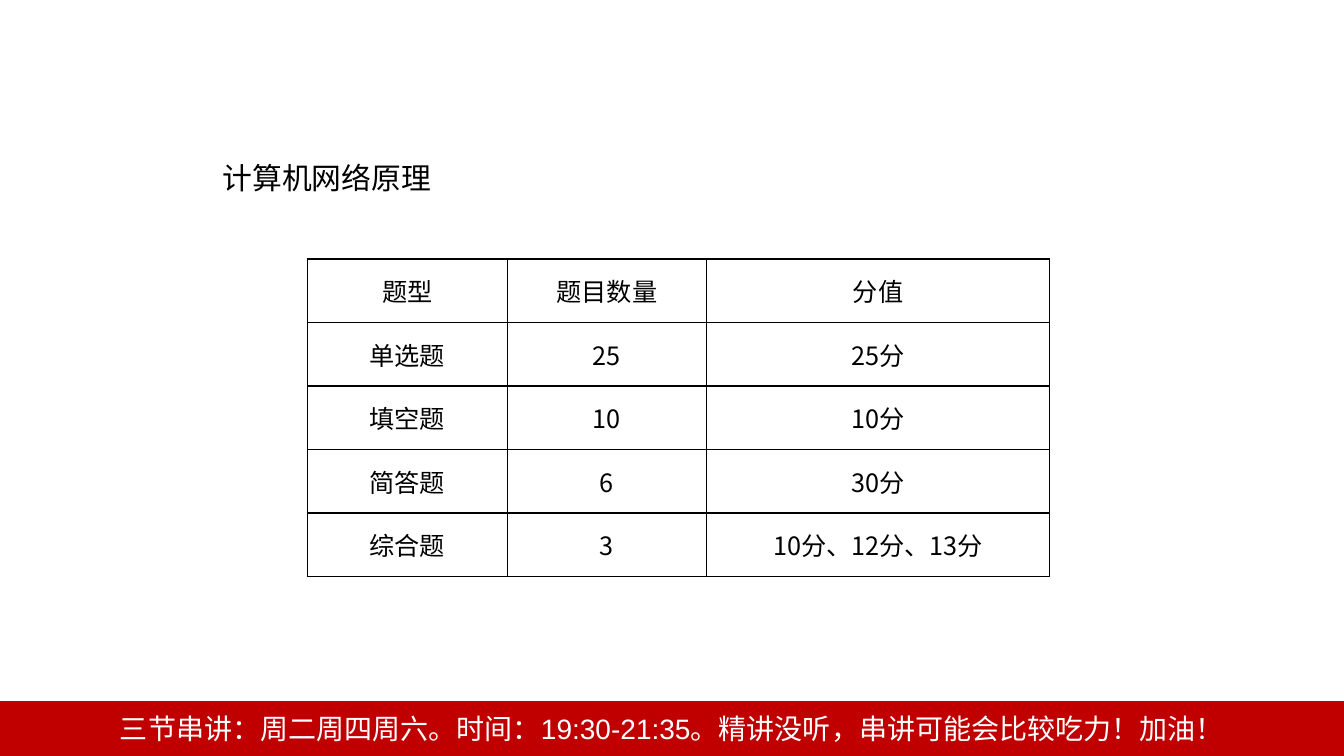
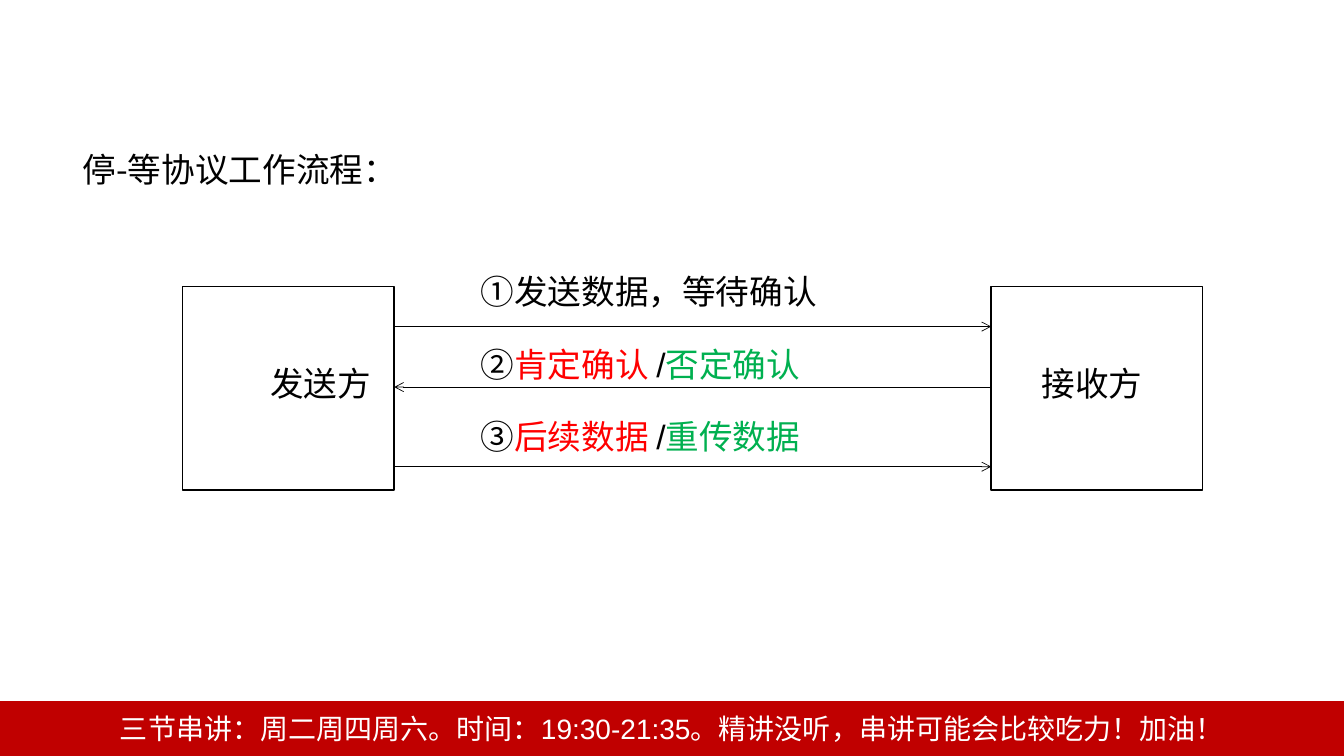
from lxml import etree
from pptx import Presentation
from pptx.dml.color import RGBColor
from pptx.enum.shapes import MSO_CONNECTOR, MSO_SHAPE
from pptx.enum.text import MSO_ANCHOR, MSO_AUTO_SIZE, PP_ALIGN
from pptx.oxml.ns import qn
from pptx.util import Inches, Pt

RECTANGLE = MSO_SHAPE.RECTANGLE
STRAIGHT = MSO_CONNECTOR.STRAIGHT
TOP, MIDDLE = MSO_ANCHOR.TOP, MSO_ANCHOR.MIDDLE
LEFT, CENTER = PP_ALIGN.LEFT, PP_ALIGN.CENTER

BLACK = RGBColor(0x00, 0x00, 0x00)
WHITE = RGBColor(0xFF, 0xFF, 0xFF)
BAND_RED = RGBColor(0xC0, 0x00, 0x00)
RED = RGBColor(0xFF, 0x00, 0x00)
GREEN = RGBColor(0x00, 0xB0, 0x50)
ARIAL, NOTO = "Arial", "Noto Sans CJK SC"

SLIDE_W, SLIDE_H = 13.33, 7.5
BAND_H = 0.54
BAND_TEXT = "三节串讲：周二周四周六。时间：19:30-21:35。精讲没听，串讲可能会比较吃力！加油！"

EXAM_TITLE = "计算机网络原理"
EXAM_ROWS = [
    ("题型", "题目数量", "分值"),
    ("单选题", "25", "25分"),
    ("填空题", "10", "10分"),
    ("简答题", "6", "30分"),
    ("综合题", "3", "10分、12分、13分"),
]
EXAM_COLUMNS = (1.98, 1.98, 3.4)
EXAM_ROW_H = 0.63

FLOW_TITLE = "停-等协议工作流程："
PARTY_TOP, PARTY_W, PARTY_H = 2.84, 2.1, 2.02
SENDER_LEFT, RECEIVER_LEFT = 1.81, 9.83
PARTIES = [("发送方", SENDER_LEFT, 0.87), ("接收方", RECEIVER_LEFT, 0.5)]  # name, left, indent
STEP_LEFT, STEP_TOP, STEP_PITCH = 4.67, 2.64, 0.72
STEPS = [  # coloured runs, arrow height, whether the arrow points to the receiver
    ([("①发送数据，等待确认", BLACK)], 3.24, True),
    ([("②", BLACK), ("肯定确认 ", RED), ("/", BLACK), ("否定确认", GREEN)], 3.84, False),
    ([("③", BLACK), ("后续数据 ", RED), ("/", BLACK), ("重传数据", GREEN)], 4.63, True),
]


def write(frame, runs, size, font=ARIAL, align=LEFT, anchor=TOP, **margins):
    """Fill a frame with one paragraph of (text, colour) runs."""
    frame.word_wrap = True
    frame.auto_size = MSO_AUTO_SIZE.NONE
    frame.vertical_anchor = anchor
    for side, inset in margins.items():
        setattr(frame, f"margin_{side}", Inches(inset))
    paragraph = frame.paragraphs[0]
    paragraph.alignment = align
    for text, color in runs:
        run = paragraph.add_run()
        run.text = text
        run.font.size = Pt(size)
        run.font.name = font
        run.font.color.rgb = color
        east_asian = etree.Element(qn("a:ea"), typeface=NOTO)
        run.font._element.find(qn("a:latin")).addnext(east_asian)


def add_box(slide, area, fill, line):
    box = slide.shapes.add_shape(RECTANGLE, *map(Inches, area))
    box.shadow.inherit = False
    box.fill.solid()
    box.fill.fore_color.rgb = fill
    box.line.color.rgb = line
    box.line.width = Pt(1)
    return box


def add_arrow(slide, start, end, y):
    arrow = slide.shapes.add_connector(STRAIGHT, *map(Inches, (start, y, end, y)))
    arrow.line.color.rgb = BLACK
    arrow.line.width = Pt(0.5)
    etree.SubElement(arrow.line._get_or_add_ln(), qn("a:tailEnd"), type="arrow")
    etree.SubElement(arrow._element.spPr, qn("a:effectLst"))


def add_titled_slide(deck, layout, text, area, size, font, left=0.1, spacing=1.0):
    slide = deck.slides.add_slide(layout)
    title = slide.shapes.title
    title.left, title.top, title.width, title.height = map(Inches, area)
    write(title.text_frame, [(text, BLACK)], size, font, left=left)
    title.text_frame.paragraphs[0].line_spacing = spacing
    return slide


def move_band_to_layout(slide, layout):
    """Draw the footer band and hand it to the layout, so every slide shows it."""
    band = add_box(slide, (0, SLIDE_H - BAND_H, SLIDE_W, BAND_H), BAND_RED, BAND_RED)
    write(band.text_frame, [(BAND_TEXT, WHITE)], 20, align=CENTER, anchor=MIDDLE)
    band._element.nvSpPr.cNvPr.set("id", "100")
    layout.shapes._spTree.append(band._element)


def set_borders(cell):
    properties = cell._tc.get_or_add_tcPr()
    for index, side in enumerate(("lnL", "lnR", "lnT", "lnB")):
        border = etree.Element(qn(f"a:{side}"), w=str(Pt(1)))
        fill = etree.SubElement(border, qn("a:solidFill"))
        etree.SubElement(fill, qn("a:srgbClr"), val=str(BLACK))
        properties.insert(index, border)


def add_exam_table(slide):
    area = (3.05, 2.57, sum(EXAM_COLUMNS), EXAM_ROW_H * len(EXAM_ROWS))
    table = slide.shapes.add_table(
        len(EXAM_ROWS), len(EXAM_COLUMNS), *map(Inches, area)).table
    table.first_row = table.horz_banding = False
    for column, width in zip(table.columns, EXAM_COLUMNS):
        column.width = Inches(width)
    for row, texts in zip(table.rows, EXAM_ROWS):
        row.height = Inches(EXAM_ROW_H)
        for cell, text in zip(row.cells, texts):
            cell.fill.solid()
            cell.fill.fore_color.rgb = WHITE
            write(cell.text_frame, [(text, BLACK)], 18, NOTO, CENTER)
            cell.vertical_anchor = MIDDLE
            set_borders(cell)


def add_flow(slide):
    for name, left, indent in PARTIES:
        party = add_box(slide, (left, PARTY_TOP, PARTY_W, PARTY_H), WHITE, BLACK)
        write(party.text_frame, [(name, BLACK)], 24, anchor=MIDDLE,
              left=indent, top=0, bottom=0.1)
    sender_edge = SENDER_LEFT + PARTY_W
    for index, (runs, y, to_receiver) in enumerate(STEPS):
        ends = (sender_edge, RECEIVER_LEFT)
        add_arrow(slide, *(ends if to_receiver else reversed(ends)), y)
        area = (STEP_LEFT, STEP_TOP + index * STEP_PITCH, 4.37, 0.5)
        step = slide.shapes.add_textbox(*map(Inches, area))
        write(step.text_frame, runs, 24)


def main():
    deck = Presentation()
    deck.slide_width, deck.slide_height = Inches(SLIDE_W), Inches(SLIDE_H)
    layout = deck.slide_layouts.get_by_name("Title Only")

    exam = add_titled_slide(
        deck, layout, EXAM_TITLE, (2.05, 1.53, 5.56, 0.46), 21.3, ARIAL, left=0.16)
    move_band_to_layout(exam, layout)
    add_exam_table(exam)

    flow = add_titled_slide(
        deck, layout, FLOW_TITLE, (0.72, 1.23, 9.46, 0.64), 24, NOTO, spacing=1.5)
    add_flow(flow)

    deck.save("out.pptx")


if __name__ == "__main__":
    main()
